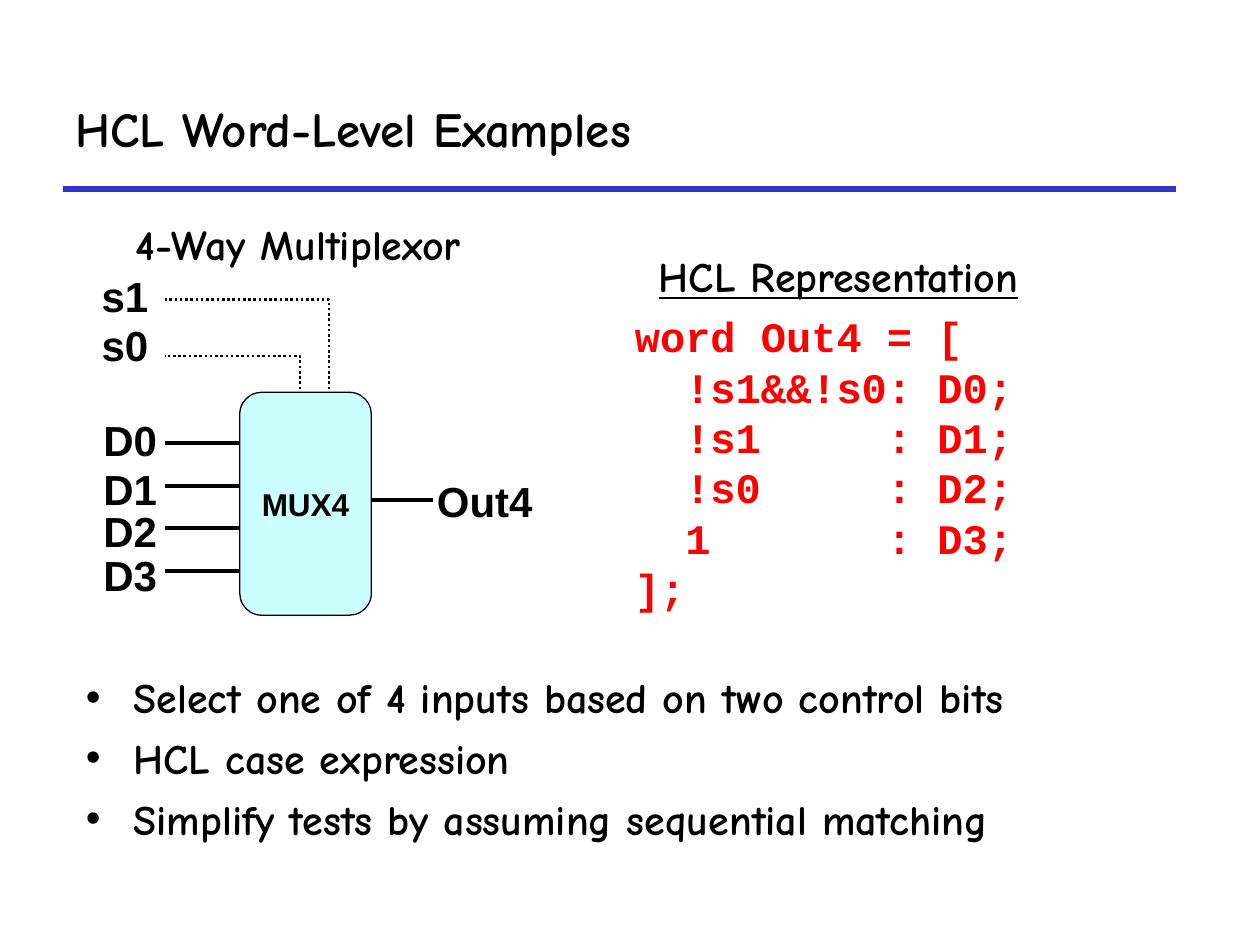
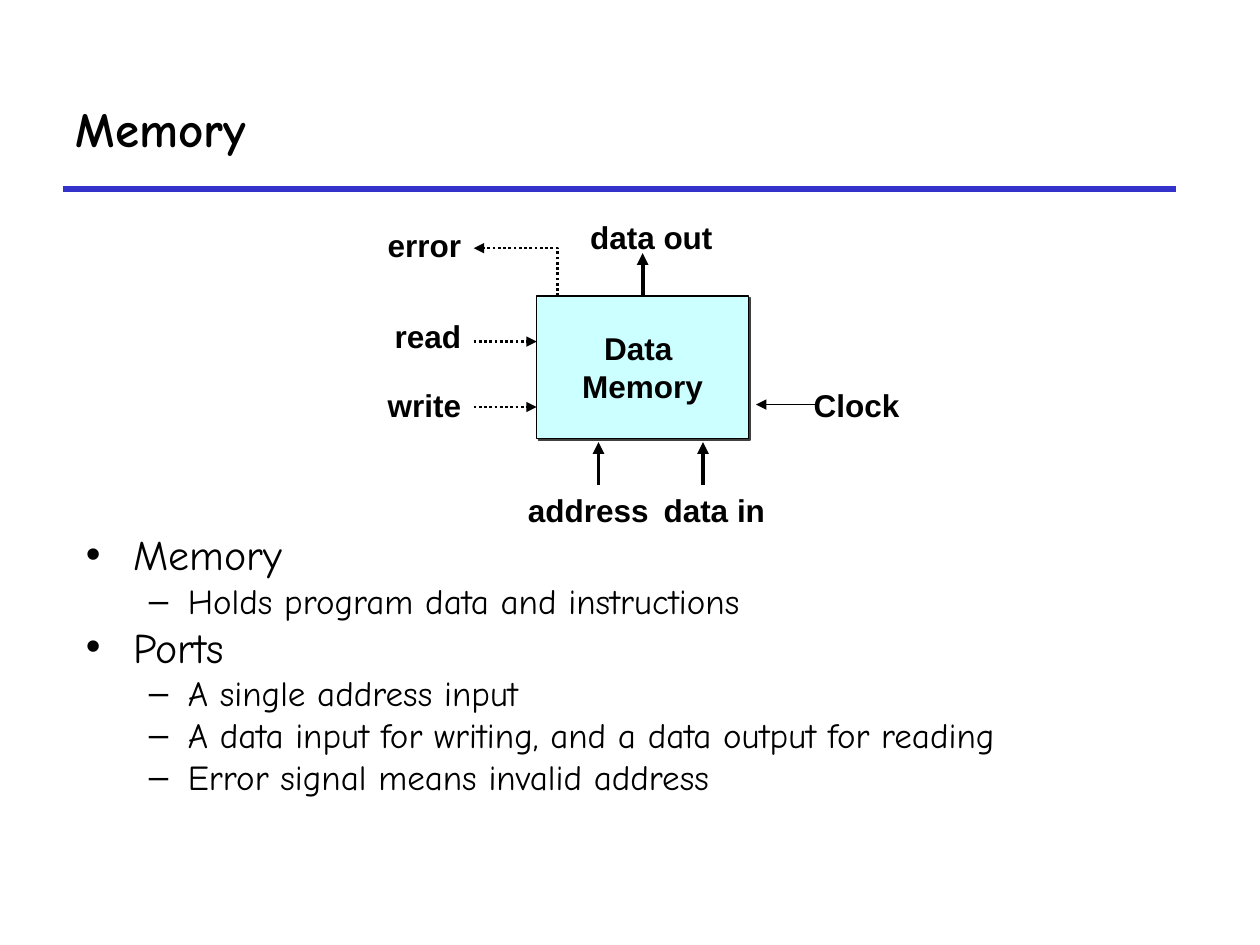
from lxml import etree
from pptx import Presentation
from pptx.dml.color import RGBColor
from pptx.enum import dml, shapes, text
from pptx.oxml import ns
from pptx.util import Pt

BLACK, BLUE, CYAN, RED, = "000000", "3333CC", "CCFFFF", "FF0000"
HEADING, LABEL, CODE = "Comic Neue", "Arial", "Courier New"
LEFT, CENTER, RIGHT = text.PP_ALIGN.LEFT, text.PP_ALIGN.CENTER, text.PP_ALIGN.RIGHT
TOP, MIDDLE = text.MSO_ANCHOR.TOP, text.MSO_ANCHOR.MIDDLE
LINE_HEIGHT = 1.2


def color(value):
    """Turn a hex string into a colour."""
    return RGBColor.from_string(value)


def child(parent, tag, **attributes):
    """Append a DrawingML element."""
    return etree.SubElement(parent, ns.qn(f"a:{tag}"), attributes)


def place(shape, left, top, width, height):
    """Move and size a shape in points."""
    shape.left, shape.top, shape.width, shape.height = map(Pt, (left, top, width, height))


def style(para, size, font=LABEL, bold=True, ink=BLACK, align=LEFT, before=0):
    """Format a whole paragraph."""
    para.alignment = align
    para.line_spacing = Pt(size * LINE_HEIGHT)
    para.space_before = Pt(before)
    para.font.name, para.font.size, para.font.bold = font, Pt(size), bold
    para.font.color.rgb = color(ink)


def write(shape, words, size, anchor=MIDDLE, **look):
    """Fill a shape with lines of text in one style."""
    frame = shape.text_frame
    frame.word_wrap = True
    frame.auto_size = text.MSO_AUTO_SIZE.NONE
    frame.vertical_anchor = anchor
    frame.text = words
    for para in frame.paragraphs:
        style(para, size, **look)
    return frame


def label(page, words, left, top, width, height, size, **look):
    """Add a text box."""
    box = page.shapes.add_textbox(*map(Pt, (left, top, width, height)))
    return write(box, words, size, **look)


def block(page, kind, words, left, top, width, height):
    """Add a filled hardware block with a centred name."""
    shape = page.shapes.add_shape(kind, *map(Pt, (left, top, width, height)))
    shape.shadow.inherit = False
    shape.fill.solid()
    shape.fill.fore_color.rgb = color(CYAN)
    shape.line.color.rgb = color(BLACK)
    shape.line.width = Pt(0.75)
    write(shape, words, 18, align=CENTER)
    return shape


def stroke(shape, width, dotted=False, arrow=False, ink=BLACK):
    """Format a line or an open outline."""
    shape.line.color.rgb = color(ink)
    shape.line.width = Pt(width)
    if dotted:
        shape.line.dash_style = dml.MSO_LINE.ROUND_DOT
    properties = shape.element.spPr
    if arrow:
        child(properties.find(ns.qn("a:ln")), "tailEnd", type="triangle")
    if properties.find(ns.qn("a:effectLst")) is None:
        child(properties, "effectLst")


def wire(page, start, end, width=2.25, **look):
    """Draw a straight line between two points."""
    line = page.shapes.add_connector(shapes.MSO_CONNECTOR.STRAIGHT, *map(Pt, start + end))
    stroke(line, width, **look)


def bend(page, start, corner, end, **look):
    """Draw a dotted control line with one corner."""
    builder = page.shapes.build_freeform(*map(Pt, start))
    builder.add_line_segments([tuple(map(Pt, point)) for point in (corner, end)], close=False)
    shape = builder.convert_to_shape()
    shape.fill.background()
    stroke(shape, 1.5, dotted=True, **look)


def start_page(deck, heading):
    """Add a page with its title and rule."""
    page = deck.slides.add_slide(deck.slide_layouts[1])
    wire(page, (36, 108), (672, 108), 3, ink=BLUE)
    place(page.shapes.title, 36, 37, 636, 72)
    write(page.shapes.title, heading, 28, font=HEADING)
    return page


def bullet_list(page, box, items, bold=False, before=0):
    """Fill the body placeholder with (level, words) items."""
    body = page.placeholders[1]
    place(body, *box)
    frame = write(body, "\n".join(words for _, words in items), 24, anchor=TOP)
    for index, (para, (level, _)) in enumerate(zip(frame.paragraphs, items)):
        para.level = level
        margin, hanging = ((27.4, 27.4), (58.3, 22.3))[level]
        properties = para._p.get_or_add_pPr()
        properties.set("marL", str(Pt(margin)))
        properties.set("indent", str(-Pt(hanging)))
        style(para, (24, 20)[level], font=HEADING, bold=bold, before=before if index else 0)


def multiplexor(page, left, top):
    """Draw the four-way multiplexor."""
    wire_start, body_left = left + 43.3, left + 86
    for name, name_top, wire_top, drop in (("s1", 0, 20, 137), ("s0", 28, 52.5, 120.5)):
        label(page, name, left, top + name_top, 50, 36, 24)
        bend(page, (left + drop, top + 77.5), (left + drop, top + wire_top),
             (wire_start, top + wire_top))
    for index, name_top in enumerate((82, 110, 134.5, 159.5)):
        label(page, f"D{index}", left + 1, top + name_top, 50, 36, 24)
        wire_top = top + 102 + 24.5 * index
        wire(page, (wire_start, wire_top), (body_left, wire_top))
    wire(page, (left + 154, top + 134.5), (left + 196.7, top + 134.5))
    label(page, "Out4", left + 191.6, top + 117, 80, 36, 24)
    block(page, shapes.MSO_SHAPE.ROUNDED_RECTANGLE, "MUX4", body_left, top + 73.2, 75.2, 127.4)


def case_expression(page, left, top):
    """Write the HCL code under its heading."""
    heading = label(page, "HCL Representation", left + 13.8, top - 35, 230, 37, 24, font=HEADING)
    heading.paragraphs[0].font.underline = True
    lines = ("word Out4 = [", "  !s1&&!s0: D0;", "  !s1     : D1;",
             "  !s0     : D2;", "  1       : D3;", "];")
    label(page, "\n".join(lines), left, top, 240, 181, 24, anchor=TOP, font=CODE, ink=RED)


def data_memory(page, left, top, width, height):
    """Draw the memory block with its ports."""
    memory = block(page, shapes.MSO_SHAPE.RECTANGLE, "Data \vMemory", left, top, width, height)
    effects = memory.element.spPr.find(ns.qn("a:effectLst"))
    shadow = child(effects, "outerShdw", dist=str(Pt(1.4)), dir="2700000", algn="ctr")
    child(child(shadow, "srgbClr", val=BLACK), "alpha", val="75000")

    port = left - 36
    for name, middle in (("error", -29), ("read", 23), ("write", 62)):
        label(page, name, port - 80, top + middle - 15, 80, 30, 18, align=RIGHT)
    for wire_top in (top + 26, top + 63.4):
        wire(page, (port, wire_top), (left, wire_top), 1.5, dotted=True, arrow=True)
    bend(page, (left + 12, top), (left + 12, top - 27.4), (port, top - 27.4), arrow=True)

    for name, x, middle in (("address", 29.5, 122), ("data in", 101.5, 122), ("data out", 65.5, -34)):
        label(page, name, left + x - 50, top + middle - 15, 100, 30, 18, align=CENTER)
    for x, tail, head in ((35.3, 108, 83.5), (95, 108, 83.5), (60.5, 0, -24.5)):
        wire(page, (left + x, top + tail), (left + x, top + head), arrow=True)

    wire(page, (left + 161.3, top + 62), (left + 125.3, top + 62), 1, arrow=True)
    label(page, "Clock", left + 151.2, top + 47, 80, 30, 18)


def multiplexor_page(deck):
    """Build the page on word-level HCL."""
    page = start_page(deck, "HCL Word-Level Examples")
    label(page, "4-Way Multiplexor", 70.6, 121, 220, 37, 24, font=HEADING)
    multiplexor(page, 51, 151)
    case_expression(page, 355.7, 174)
    bullet_list(page, (41.8, 380, 617.8, 113.8), (
        (0, "Select one of 4 inputs based on two control bits"),
        (0, "HCL case expression"),
        (0, "Simplify tests by assuming sequential matching"),
    ), bold=True, before=6)


def memory_page(deck):
    """Build the page on memory."""
    page = start_page(deck, "Memory")
    bullet_list(page, (41.8, 298.5, 653.8, 218.9), (
        (0, "Memory"),
        (1, "Holds program data and instructions"),
        (0, "Ports"),
        (1, "A single address input"),
        (1, "A data input for writing, and a data output for reading"),
        (1, "Error signal means invalid address"),
    ))
    data_memory(page, 306.7, 169.2, 121, 81.4)


def main():
    """Build and save the deck."""
    deck = Presentation()
    deck.slide_width, deck.slide_height = Pt(720), Pt(540)
    multiplexor_page(deck)
    memory_page(deck)
    deck.save("out.pptx")


if __name__ == "__main__":
    main()
